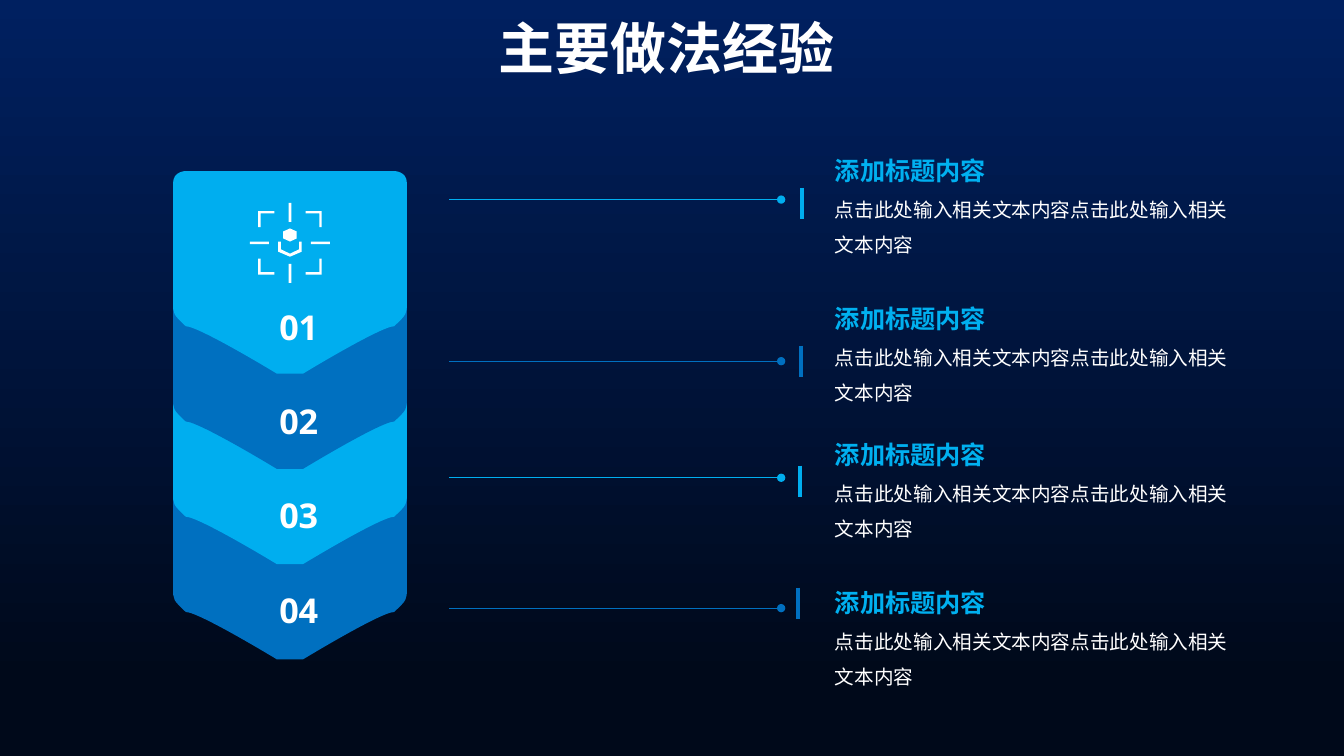
from dataclasses import dataclass
from typing import Any, NamedTuple

from lxml import etree
from pptx import Presentation
from pptx import util as u
from pptx.dml.color import RGBColor
from pptx.enum import shapes, text
from pptx.oxml import ns

COLUMNS, ROWS = 80, 45
SLIDE_WIDTH, SLIDE_HEIGHT = u.Cm(33.87), u.Inches(7.5)

Point = tuple[float, float]
Curve = tuple[Point, Point, Point]


@dataclass(frozen=True)
class Theme:
    font: str = "Noto Sans"
    sky: RGBColor = RGBColor(0x00, 0xAE, 0xEF)
    ocean: RGBColor = RGBColor(0x00, 0x70, 0xC0)
    heading: RGBColor = RGBColor(0x00, 0xB0, 0xF0)
    white: RGBColor = RGBColor(0xFF, 0xFF, 0xFF)
    night_top: RGBColor = RGBColor(0x00, 0x20, 0x60)
    night_bottom: RGBColor = RGBColor(0x00, 0x09, 0x1A)
    title_size: float = 40
    number_size: float = 24.4
    heading_size: float = 18
    body_size: float = 14
    leader_width: float = 0.5
    marker_width: float = 3


class Area(NamedTuple):
    """A box measured in grid columns and rows."""
    left: float
    top: float
    width: float
    height: float


class Run(NamedTuple):
    words: str
    size: float
    color: RGBColor
    bold: bool


class Step(NamedTuple):
    number: str
    color: RGBColor
    leader_row: float
    marker_column: float
    marker_row: float
    text_row: float


THEME = Theme()
TITLE = "主要做法经验"
HEADING = "添加标题内容"
BODY = "点击此处输入相关文本内容点击此处输入相关文本内容"

STEPS = [
    Step("01", THEME.sky, 11.88, 47.76, 11.18, 8.37),
    Step("02", THEME.ocean, 21.5, 47.7, 20.58, 17.18),
    Step("03", THEME.sky, 28.44, 47.6, 27.72, 25.26),
    Step("04", THEME.ocean, 36.2, 47.52, 34.98, 34.08),
]

TITLE_AREA = Area(29.1, 0.5, 34.5, 4.62)
BANNER_CENTER, BANNER_TOP, BANNER_PITCH = 17.26, 10.18, 5.67
NUMBER_AREA, NUMBER_PITCH = Area(12.86, 17.2, 8.82, 3.54), 5.61
NUMBER_INDENT = 1.62
LEADER_START, LEADER_END = 46.5, 26.7
MARKER_LENGTH = 1.86
TEXT_LEFT, TEXT_WIDTH, TEXT_HEIGHT = 49.7, 23.58, 6.96
ICON_CENTER: Point = (17.26, 14.46)

# Right half of a banner, measured from the middle of its top edge.
BANNER_START: Point = (6.2, 0)
BANNER_CURVES: list[Curve] = [
    ((6.2, 0), (6.96, 0), (6.96, 0.72)),
    ((6.96, 0.72), (6.96, 7.08), (6.96, 7.8)),
    ((6.96, 8.52), (6.96, 8.52), (6.2, 9.24)),
    ((5.42, 9.24), (0.78, 12.06), (0.78, 12.06)),
]
BANNER_TIP: Curve = ((0, 12.06), (0, 12.06), (-0.78, 12.06))
# Icon parts, measured from the icon's centre.
BRACKET = [(0.93, 1.89), (1.89, 1.89), (1.89, 0.93), (1.75, 0.93), (1.75, 1.75), (0.93, 1.75)]
GEM_HALF = [(0, -0.86), (0.4, -0.68), (0.4, -0.26), (0, -0.08)]
CUP_HALF = [(0, 0.82), (0.7, 0.52), (0.7, -0.08), (0.54, -0.08), (0.54, 0.38), (0, 0.64)]
TICK_INNER, TICK_LENGTH, TICK_WIDTH = 1.25, 1.13, 0.16


def col(count: float) -> u.Emu:
    return u.Emu(round(SLIDE_WIDTH * count / COLUMNS))


def row(count: float) -> u.Emu:
    return u.Emu(round(SLIDE_HEIGHT * count / ROWS))


def place(area: Area) -> tuple[u.Emu, ...]:
    return col(area.left), row(area.top), col(area.width), row(area.height)


def apply(target: Any, values: dict[str, Any]) -> None:
    for name, value in values.items():
        setattr(target, name, value)


def paint(shape: Any, color: RGBColor) -> None:
    shape.shadow.inherit = False
    shape.fill.solid()
    shape.fill.fore_color.rgb = color
    shape.line.fill.background()


def flip(point: Point) -> Point:
    return -point[0], point[1]


def mirrored(half: list[Point]) -> list[Point]:
    """Close a right half, which starts and ends on the axis, with its reflection."""
    return half + [flip(point) for point in reversed(half[1:-1])]


def draw_outline(canvas: Any, outline: list[Point], origin: Point, color: RGBColor) -> Any:
    corners = [(col(origin[0] + x), row(origin[1] + y)) for x, y in outline]
    builder = canvas.build_freeform(*corners[0])
    builder.add_line_segments(corners[1:], close=True)
    shape = builder.convert_to_shape()
    paint(shape, color)
    return shape


def draw_banner(canvas: Any, top: float, color: RGBColor) -> None:
    """Draw the outline's end points, then bend each straight side into its curve."""
    starts = [BANNER_START] + [curve[-1] for curve in BANNER_CURVES[:-1]]
    returning = [(flip(b), flip(a), flip(start))
                 for start, (a, b, _) in zip(starts, BANNER_CURVES)][::-1]
    curves = [*BANNER_CURVES, BANNER_TIP, *returning]
    shape = draw_outline(canvas, [BANNER_START] + [curve[-1] for curve in curves],
                         (BANNER_CENTER, top), color)
    for side, curve in zip(list(shape._element.iter(ns.qn("a:lnTo"))), curves):
        side.tag = ns.qn("a:cubicBezTo")
        side.remove(side[0])
        for x, y in curve:
            etree.SubElement(side, ns.qn("a:pt"), x=str(col(BANNER_CENTER + x) - shape.left),
                             y=str(row(top + y) - shape.top))


def draw_line(canvas: Any, start: Point, end: Point, color: RGBColor,
              width: float, dot: bool = False) -> None:
    line = canvas.add_connector(shapes.MSO_CONNECTOR.STRAIGHT, col(start[0]), row(start[1]),
                                col(end[0]), row(end[1]))
    line.line.color.rgb = color
    line.line.width = u.Pt(width)
    if dot:
        etree.SubElement(line.line._get_or_add_ln(), ns.qn("a:headEnd"), type="oval")
    etree.SubElement(line._element.spPr, ns.qn("a:effectLst"))


def draw_text(canvas: Any, area: Area, runs: list[Run], frame_format: dict[str, Any],
              paragraph_format: dict[str, Any]) -> None:
    """Write the runs as one paragraph, each on its own line."""
    frame = canvas.add_textbox(*place(area)).text_frame
    apply(frame, {"word_wrap": True, "auto_size": text.MSO_AUTO_SIZE.SHAPE_TO_FIT_TEXT,
                  **frame_format})
    paragraph = frame.paragraphs[0]
    apply(paragraph, paragraph_format)
    for index, item in enumerate(runs):
        if index:
            paragraph.add_line_break()
        run = paragraph.add_run()
        run.text = item.words
        apply(run.font, {"name": THEME.font, "size": u.Pt(item.size), "bold": item.bold})
        run.font.color.rgb = item.color


def draw_icon(canvas: Any) -> None:
    parts = canvas.add_group_shape().shapes
    for side_x, side_y in ((1, -1), (-1, 1), (1, 1), (-1, -1)):
        bracket = [(side_x * x, side_y * y) for x, y in BRACKET]
        draw_outline(parts, bracket, ICON_CENTER, THEME.white)
    x, y = ICON_CENTER
    half = TICK_WIDTH / 2
    for offset in (TICK_INNER, -TICK_INNER - TICK_LENGTH):
        for tick in (Area(x + offset, y - half, TICK_LENGTH, TICK_WIDTH),
                     Area(x - half, y + offset, TICK_WIDTH, TICK_LENGTH)):
            paint(parts.add_shape(shapes.MSO_SHAPE.RECTANGLE, *place(tick)), THEME.white)
    for half_outline in (GEM_HALF, CUP_HALF):
        draw_outline(parts, mirrored(half_outline), ICON_CENTER, THEME.white)


def draw_step(canvas: Any, index: int, step: Step) -> None:
    draw_line(canvas, (LEADER_START, step.leader_row), (LEADER_END, step.leader_row),
              step.color, THEME.leader_width, dot=True)
    draw_line(canvas, (step.marker_column, step.marker_row),
              (step.marker_column, step.marker_row + MARKER_LENGTH),
              step.color, THEME.marker_width)
    draw_text(canvas, NUMBER_AREA._replace(top=NUMBER_AREA.top + index * NUMBER_PITCH),
              [Run(step.number, THEME.number_size, THEME.white, True)],
              {"margin_left": col(NUMBER_INDENT)},
              {"alignment": text.PP_ALIGN.CENTER, "line_spacing": 1.3})
    draw_text(canvas, Area(TEXT_LEFT, step.text_row, TEXT_WIDTH, TEXT_HEIGHT),
              [Run(HEADING, THEME.heading_size, THEME.heading, True),
               Run(BODY, THEME.body_size, THEME.white, False)],
              dict.fromkeys(("margin_left", "margin_top", "margin_right", "margin_bottom"), 0),
              {"line_spacing": 1.5})


def main() -> None:
    deck = Presentation()
    apply(deck, {"slide_width": SLIDE_WIDTH, "slide_height": SLIDE_HEIGHT})
    slide = deck.slides.add_slide(deck.slide_layouts[6])
    night = slide.background.fill
    night.gradient()
    night.gradient_angle = 270
    for stop, color, position in zip(night.gradient_stops,
                                     (THEME.night_top, THEME.night_bottom), (0, 0.9)):
        stop.color.rgb = color
        stop.position = position

    canvas = slide.shapes
    for index, step in reversed(list(enumerate(STEPS))):
        draw_banner(canvas, BANNER_TOP + index * BANNER_PITCH, step.color)
    draw_icon(canvas)
    for index, step in enumerate(STEPS):
        draw_step(canvas, index, step)
    draw_text(canvas, TITLE_AREA, [Run(TITLE, THEME.title_size, THEME.white, True)], {}, {})
    deck.save("out.pptx")


if __name__ == "__main__":
    main()
